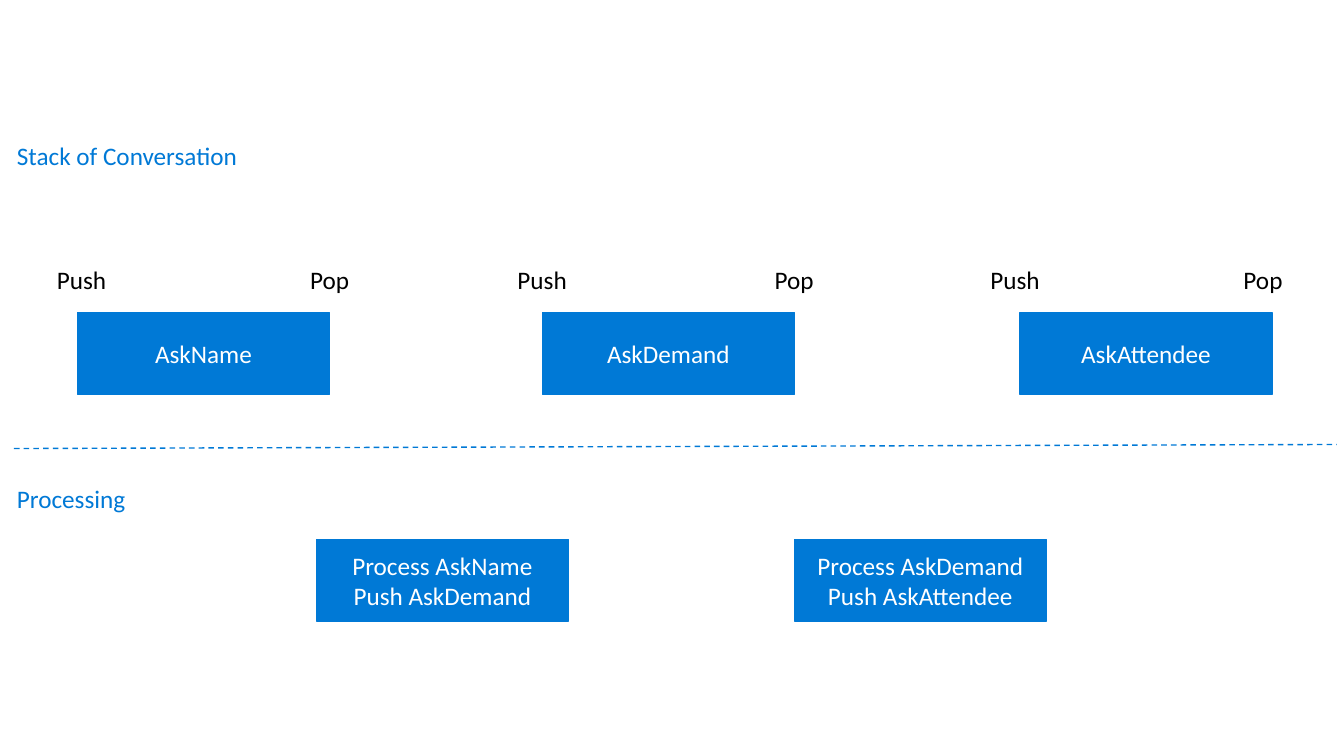
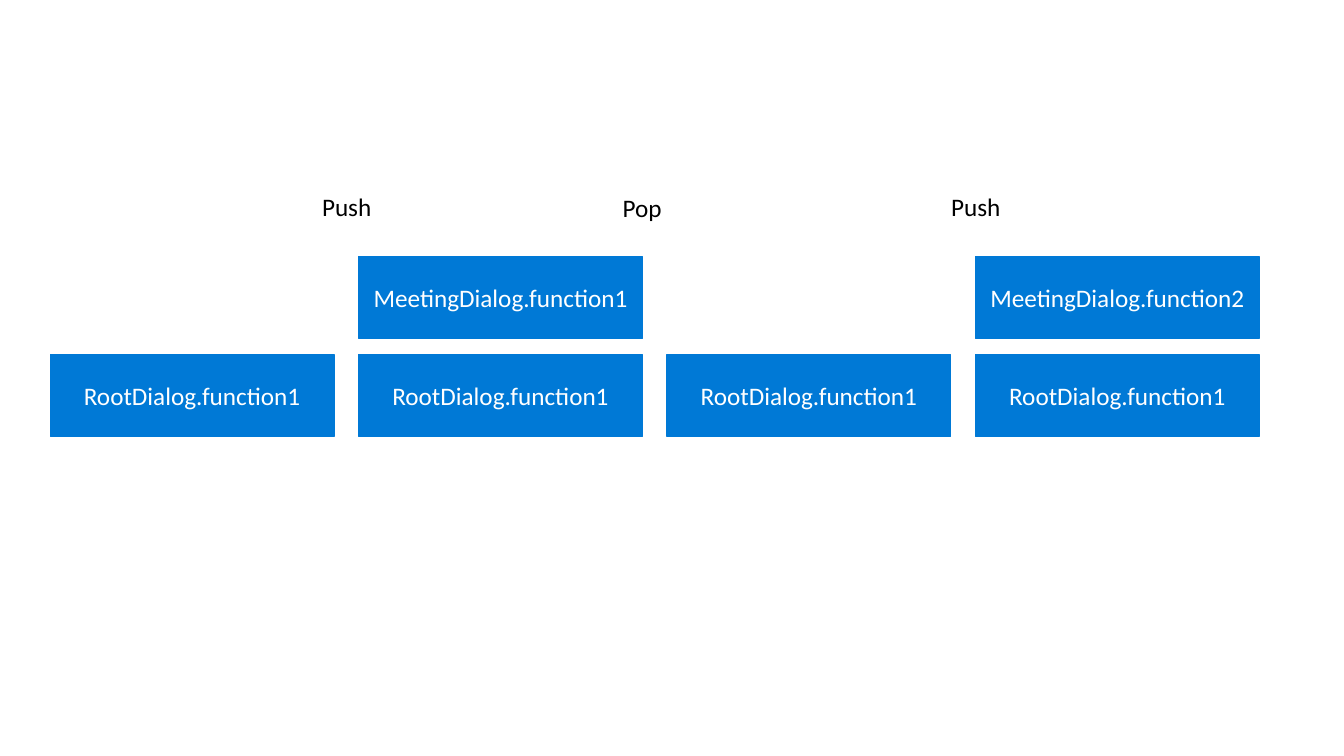
from dataclasses import dataclass

from lxml import etree
from pptx import Presentation
from pptx.dml.color import RGBColor
from pptx.enum import dml, shapes, text
from pptx.oxml import ns
from pptx.slide import Slide
from pptx.text.text import TextFrame
from pptx.util import Pt

BLUE = "0079D6"
BLACK = "000000"
WHITE = "FFFFFF"
FONT = "Calibri"
SIZE = 18
BOX_H = 58.5
LABEL_W, LABEL_H = 106.5, 29


@dataclass(frozen=True)
class Box:
    words: str
    left: float
    top: float
    width: float


@dataclass(frozen=True)
class Label:
    words: str
    left: float
    top: float
    width: float = LABEL_W
    color: str = BLACK
    centred: bool = True


@dataclass(frozen=True)
class Step:
    words: str
    left: float
    push: float
    pop: float


def paint(target, color: str) -> None:
    target.rgb = RGBColor.from_string(color)


def write(frame: TextFrame, words: str, *, color: str = BLACK,
          centred: bool = True, middle: bool = False) -> None:
    frame.word_wrap = True
    frame.vertical_anchor = text.MSO_ANCHOR.MIDDLE if middle else text.MSO_ANCHOR.TOP
    frame.text = words
    for para in frame.paragraphs:
        para.alignment = text.PP_ALIGN.CENTER if centred else text.PP_ALIGN.LEFT
        for run in para.runs:
            run.font.name = FONT
            run.font.size = Pt(SIZE)
            paint(run.font.color, color)


def draw_box(slide: Slide, box: Box) -> None:
    shape = slide.shapes.add_shape(
        shapes.MSO_SHAPE.RECTANGLE,
        Pt(box.left), Pt(box.top), Pt(box.width), Pt(BOX_H))
    shape.shadow.inherit = False
    shape.fill.solid()
    paint(shape.fill.fore_color, BLUE)
    paint(shape.line.color, BLUE)
    shape.line.width = Pt(1)
    write(shape.text_frame, box.words, color=WHITE, middle=True)


def draw_label(slide: Slide, label: Label) -> None:
    shape = slide.shapes.add_textbox(
        Pt(label.left), Pt(label.top), Pt(label.width), Pt(LABEL_H))
    write(shape.text_frame, label.words, color=label.color, centred=label.centred)
    shape.text_frame.auto_size = text.MSO_AUTO_SIZE.SHAPE_TO_FIT_TEXT


def draw_split(slide: Slide, x1: float, y1: float, x2: float, y2: float) -> None:
    line = slide.shapes.add_connector(
        shapes.MSO_CONNECTOR.STRAIGHT, Pt(x1), Pt(y1), Pt(x2), Pt(y2))
    paint(line.line.color, BLUE)
    line.line.width = Pt(1)
    line.line.dash_style = dml.MSO_LINE.DASH
    etree.SubElement(line._element.spPr, ns.qn("a:effectLst"))


def build_flow(slide: Slide) -> None:
    width = 180
    steps = [
        Step("AskName", 55.4, 5, 182.2),
        Step("AskDemand", 387.4, 334, 514),
        Step("AskAttendee", 728.6, 671.8, 848.9),
    ]
    for step in steps:
        draw_box(slide, Box(step.words, step.left, 223.2, width))
        draw_label(slide, Label("Push", step.push, 185))
        draw_label(slide, Label("Pop", step.pop, 185))
    for words, top in (("Stack of Conversation", 96.5), ("Processing", 342)):
        draw_label(slide, Label(words, 5, top, 182, BLUE, False))
    draw_split(slide, 10, 320.4, 954.8, 317.5)
    for now, then, left in zip(steps, steps[1:], (226, 567.4)):
        words = f"Process {now.words}\nPush {then.words}"
        draw_box(slide, Box(words, left, 385.2, width))


def build_stack(slide: Slide) -> None:
    width, pitch = 202.5, 220.3
    lefts = [36 + pitch * col for col in range(4)]
    for left in lefts:
        draw_box(slide, Box("RootDialog.function1", left, 253.4, width))
    for count, left in enumerate(lefts[1::2], 1):
        draw_box(slide, Box(f"MeetingDialog.function{count}", left, 183.4, width))
    for words, left, top in (("Push", 194.4, 133.2), ("Pop", 405.4, 133.9),
                             ("Push", 643.7, 133.2)):
        draw_label(slide, Label(words, left, top))


def main() -> None:
    deck = Presentation()
    deck.slide_width, deck.slide_height = Pt(960), Pt(540)
    blank = deck.slide_layouts[6]
    for build in (build_flow, build_stack):
        build(deck.slides.add_slide(blank))
    deck.save("out.pptx")


main()
